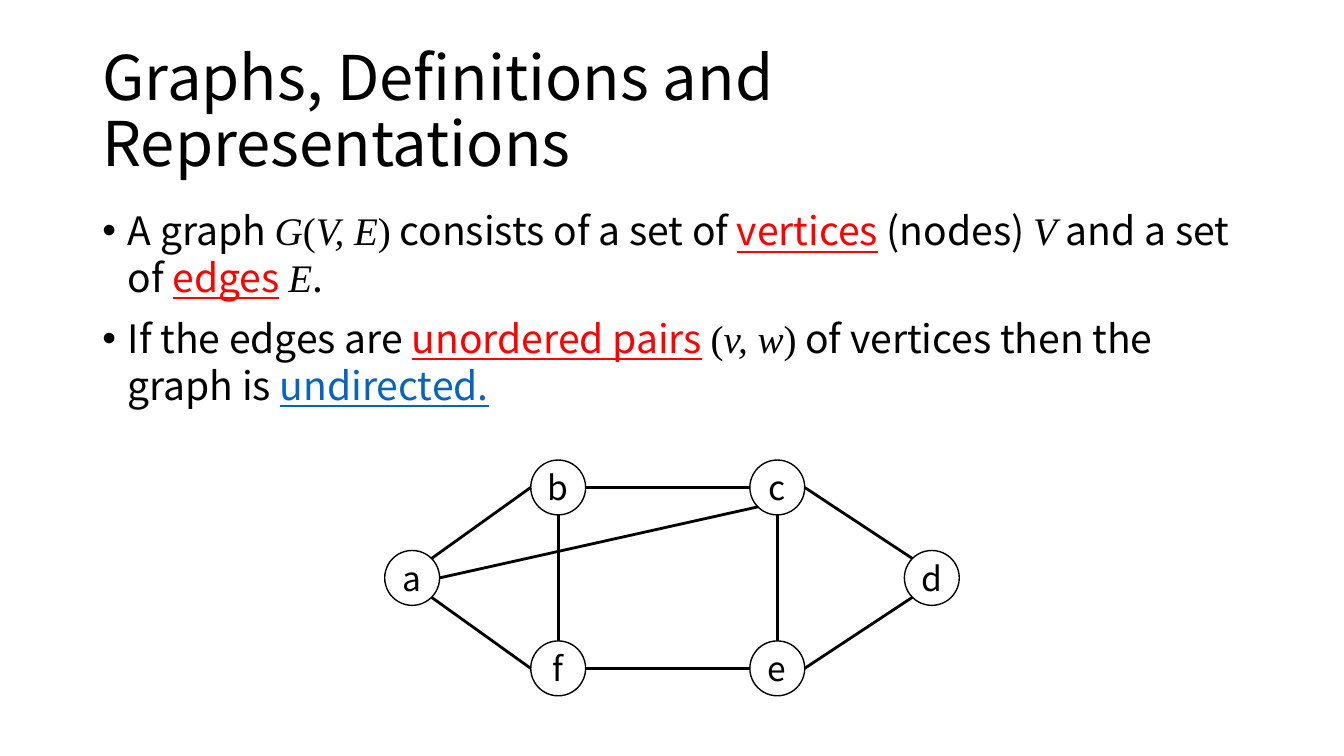
from math import cos, radians, sin

from lxml.etree import SubElement
from pptx import Presentation
from pptx.dml.color import RGBColor
from pptx.enum.shapes import MSO_CONNECTOR, MSO_SHAPE
from pptx.enum.text import MSO_ANCHOR, MSO_AUTO_SIZE, PP_ALIGN
from pptx.oxml.ns import qn
from pptx.util import Pt

SANS = "Noto Sans CJK JP"
SERIF = "Times New Roman"
BLACK, WHITE, RED, BLUE = "000000", "FFFFFF", "FF0000", "0563C1"


def color(hex_code):
    return RGBColor.from_string(hex_code)


def add_text(paragraph, text, size, font=SANS, fill=BLACK, italic=False, underline=False):
    run = paragraph.add_run()
    run.text = text
    run.font.name = font
    run.font.size = Pt(size)
    run.font.color.rgb = color(fill)
    run.font.italic = italic
    run.font.underline = underline


class GraphSlide:
    title_size, body_size, label_size = 44, 27.9, 24
    node_diameter = 39.2
    outline_width, edge_width = 1, 2

    def __init__(self, slide):
        self.slide = slide
        self.graph = slide.shapes.add_group_shape()

    def place(self, placeholder, left, top, width, height, anchor):
        placeholder.left, placeholder.top = Pt(left), Pt(top)
        placeholder.width, placeholder.height = Pt(width), Pt(height)
        frame = placeholder.text_frame
        frame.word_wrap = True
        frame.auto_size = MSO_AUTO_SIZE.NONE
        frame.vertical_anchor = anchor
        return frame

    def title(self, text, *box):
        heading = self.place(self.slide.shapes.title, *box, MSO_ANCHOR.MIDDLE).paragraphs[0]
        heading.alignment = PP_ALIGN.LEFT
        heading.line_spacing = 0.9
        add_text(heading, text, self.title_size)

    def bullets(self, items, *box):
        frame = self.place(self.slide.placeholders[1], *box, MSO_ANCHOR.TOP)
        for index, pieces in enumerate(items):
            item = frame.paragraphs[0] if index == 0 else frame.add_paragraph()
            properties = item._p.get_or_add_pPr()
            properties.set("marL", str(Pt(18)))
            properties.set("indent", str(Pt(-18)))
            SubElement(properties, qn("a:buFont"), typeface="Arial")
            SubElement(properties, qn("a:buChar"), char="•")
            item.space_before = Pt(10 if index else 0)
            for text, style in pieces:
                add_text(item, text, self.body_size, **style)

    def node(self, name, x, y):
        size = self.node_diameter
        vertex = self.graph.shapes.add_shape(
            MSO_SHAPE.OVAL, Pt(x - size / 2), Pt(y - size / 2), Pt(size), Pt(size))
        vertex.shadow.inherit = False
        vertex.fill.solid()
        vertex.fill.fore_color.rgb = color(WHITE)
        vertex.line.color.rgb = color(BLACK)
        vertex.line.width = Pt(self.outline_width)
        frame = vertex.text_frame
        frame.margin_left = frame.margin_right = frame.margin_top = frame.margin_bottom = 0
        frame.word_wrap = False
        frame.vertical_anchor = MSO_ANCHOR.MIDDLE
        label = frame.paragraphs[0]
        label.alignment = PP_ALIGN.CENTER
        add_text(label, name, self.label_size)

    def rim(self, center, angle):
        """Point on a node's rim, with the angle clockwise from the right."""
        radius = self.node_diameter / 2
        return (Pt(center[0] + radius * cos(radians(angle))),
                Pt(center[1] + radius * sin(radians(angle))))

    def edge(self, start, start_angle, end, end_angle):
        link = self.graph.shapes.add_connector(
            MSO_CONNECTOR.STRAIGHT, *self.rim(start, start_angle), *self.rim(end, end_angle))
        link.line.color.rgb = color(BLACK)
        link.line.width = Pt(self.edge_width)
        SubElement(link._element.spPr, qn("a:effectLst"))


PLAIN = {}
MATH = {"font": SERIF, "italic": True}
BRACKET = {"font": SERIF}
TERM = {"fill": RED, "underline": True}
KIND = {"fill": BLUE, "underline": True}

DEFINITIONS = [
    [("A graph ", PLAIN), ("G", MATH), ("(", BRACKET), ("V, E", MATH), (")", BRACKET),
     (" consists of a set of ", PLAIN), ("vertices", TERM), (" (nodes) ", PLAIN),
     ("V", MATH), (" and a set of ", PLAIN), ("edges", TERM), (" ", PLAIN),
     ("E", MATH), (".", PLAIN)],
    [("If the edges are ", PLAIN), ("unordered pairs", TERM), (" ", PLAIN),
     ("(", BRACKET), ("v, w", MATH), (")", BRACKET),
     (" of vertices then the graph is ", PLAIN), ("undirected.", KIND)],
]

# Node centres on three evenly spaced rows
TOP, MIDDLE, BOTTOM = (348.2 + 64.6 * row for row in range(3))
NODES = {
    "f": (398.7, BOTTOM), "b": (398.7, TOP), "c": (555.2, TOP),
    "e": (555.2, BOTTOM), "d": (665.6, MIDDLE), "a": (294.4, MIDDLE),
}
# Each edge: node and rim angle at both ends
EDGES = [
    ("c", 180, "b", 0), ("c", 90, "e", 270), ("d", 225, "c", 0),
    ("d", 135, "e", 0), ("f", 0, "e", 180), ("b", 90, "f", 270),
    ("a", 315, "b", 180), ("a", 45, "f", 180), ("a", 0, "c", 135),
]


def main():
    deck = Presentation()
    deck.slide_width, deck.slide_height = Pt(960), Pt(540)
    page = GraphSlide(deck.slides.add_slide(deck.slide_layouts[1]))

    # Title and definitions
    page.title("Graphs, Definitions and Representations", 66, 28.8, 828, 104.4)
    page.bullets(DEFINITIONS, 66, 144, 828, 160.6)

    # Undirected graph
    for name, center in NODES.items():
        page.node(name, *center)
    for start, start_angle, end, end_angle in EDGES:
        page.edge(NODES[start], start_angle, NODES[end], end_angle)

    deck.save("out.pptx")


if __name__ == "__main__":
    main()
